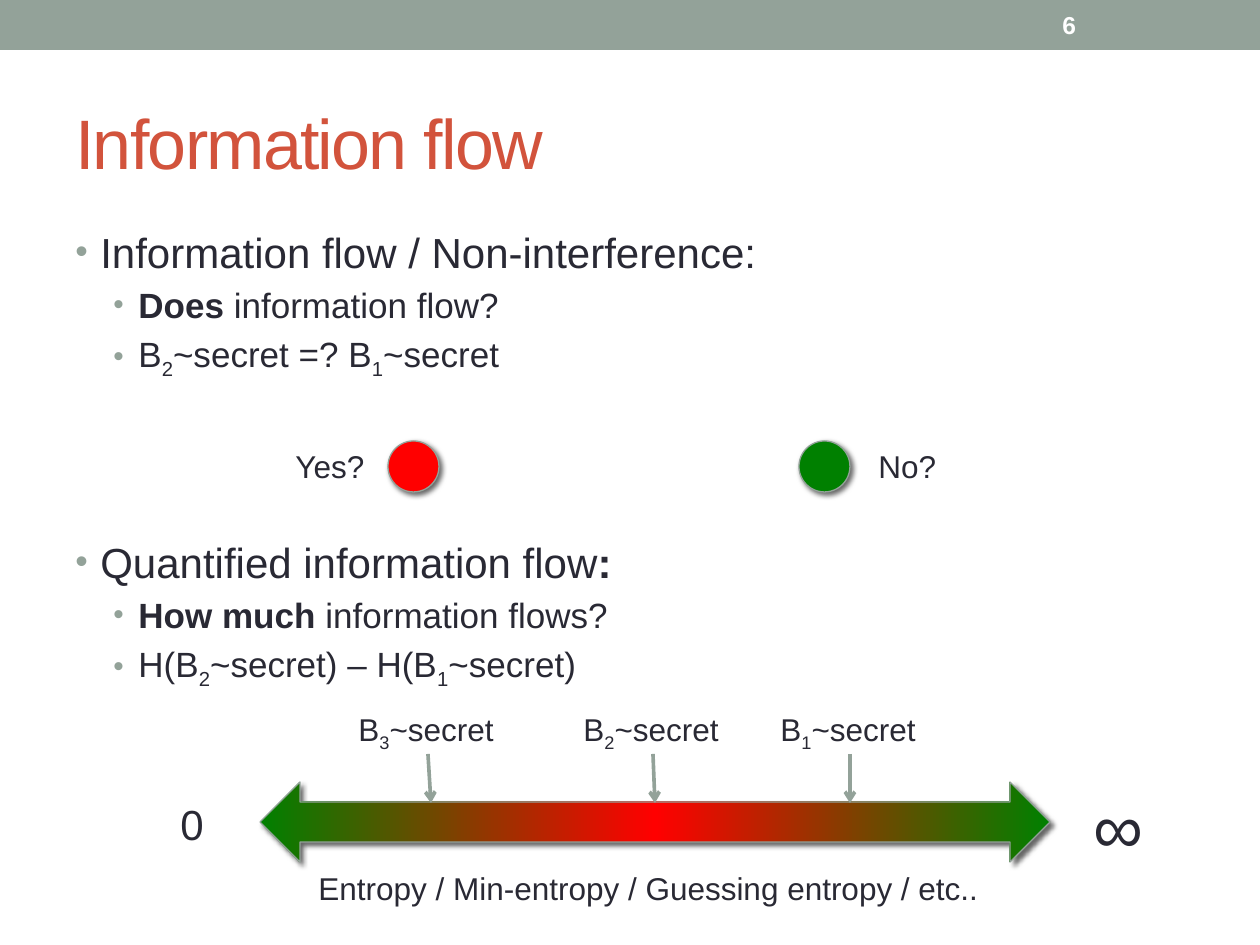
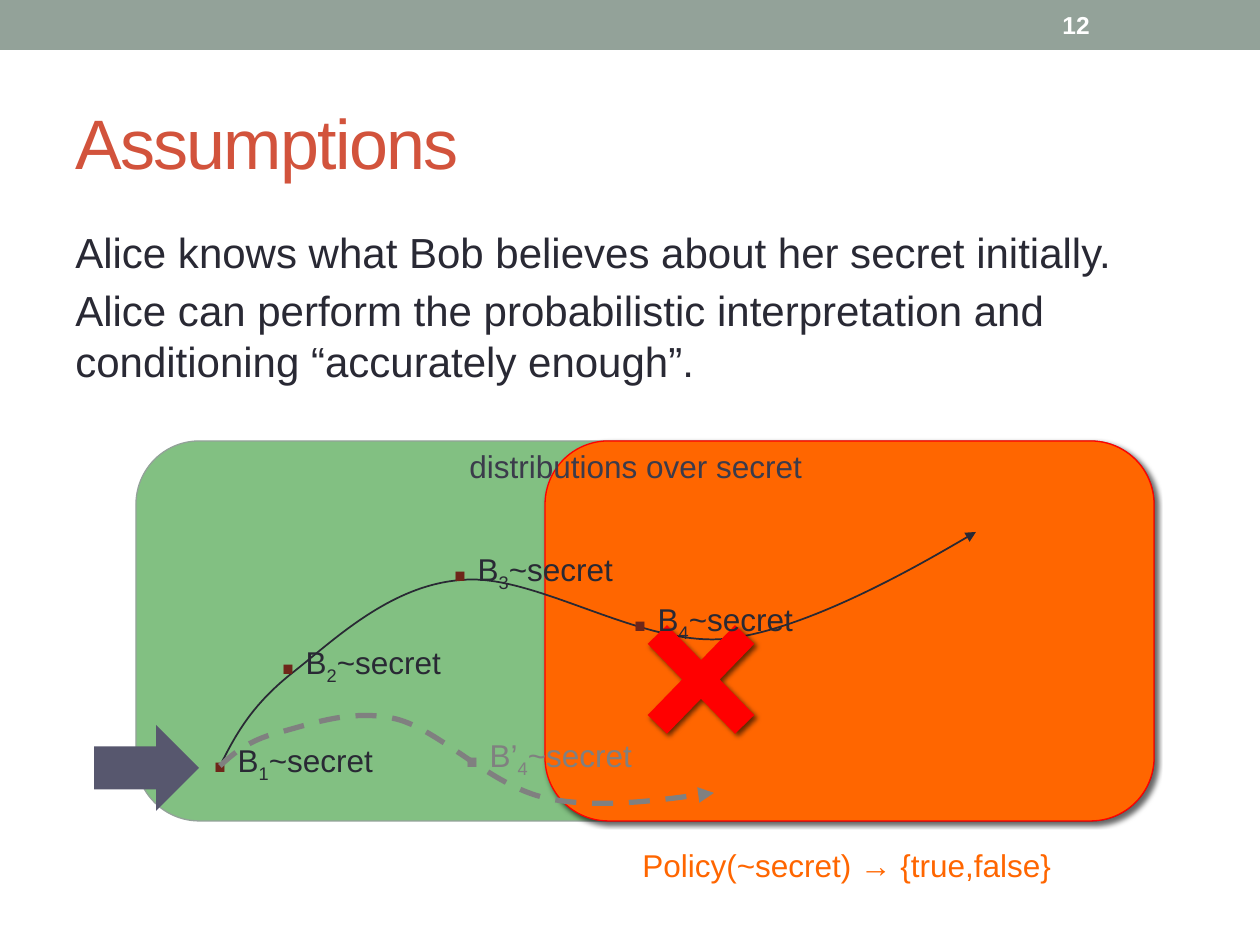
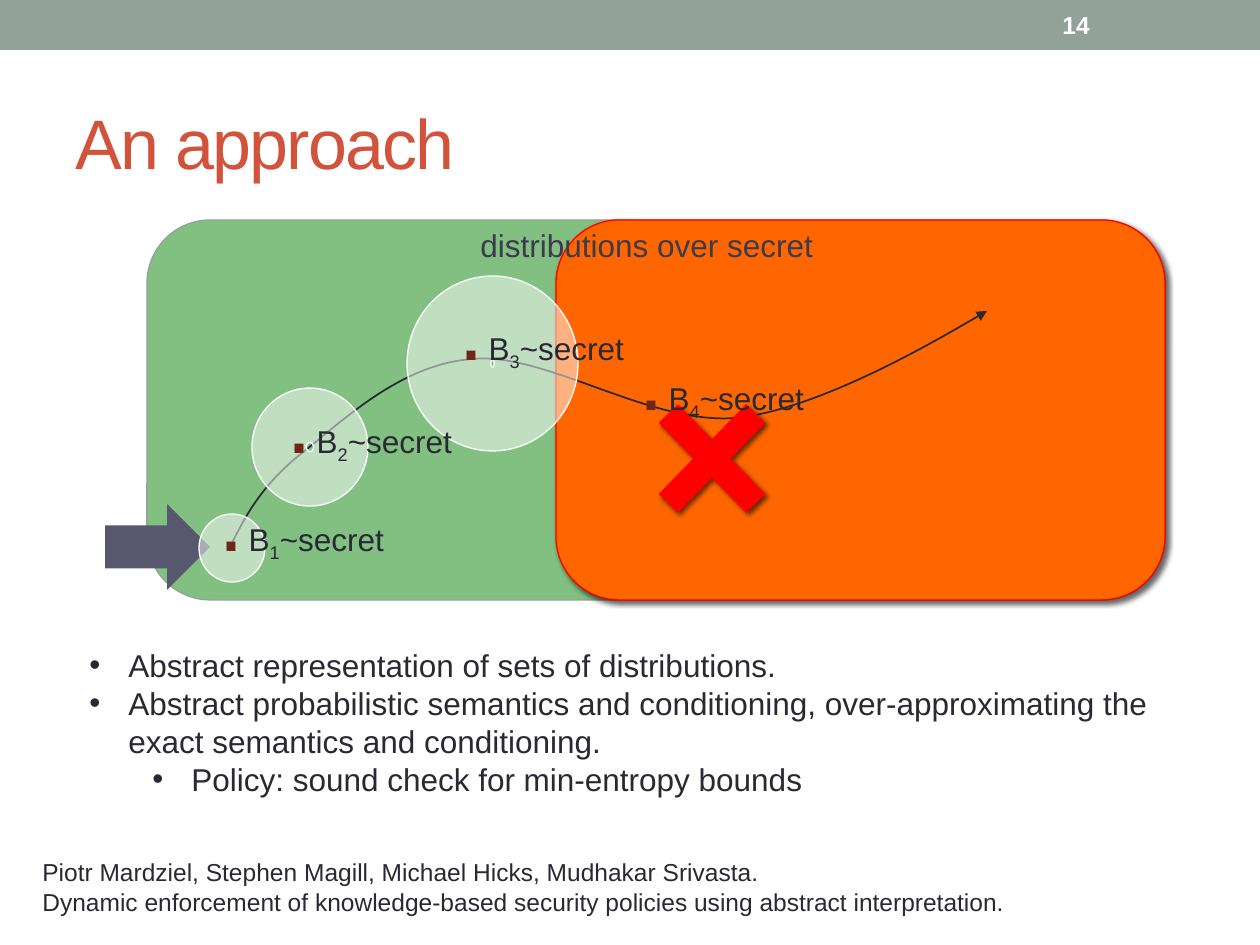
from dataclasses import dataclass
from typing import NamedTuple

from lxml import etree
from pptx import Presentation
from pptx.dml.color import RGBColor
from pptx.enum.dml import MSO_LINE
from pptx.enum.shapes import MSO_CONNECTOR, MSO_SHAPE
from pptx.enum.text import MSO_ANCHOR, MSO_AUTO_SIZE
from pptx.oxml.ns import qn
from pptx.util import Emu, Pt

RECTANGLE = MSO_SHAPE.RECTANGLE
ROUNDED = MSO_SHAPE.ROUNDED_RECTANGLE
OVAL = MSO_SHAPE.OVAL
DONUT = MSO_SHAPE.DONUT
RIGHT_ARROW = MSO_SHAPE.RIGHT_ARROW
DOUBLE_ARROW = MSO_SHAPE.LEFT_RIGHT_ARROW
CROSS = MSO_SHAPE.MATH_MULTIPLY
STRAIGHT = MSO_CONNECTOR.STRAIGHT
DASH = MSO_LINE.DASH
MIDDLE = MSO_ANCHOR.MIDDLE
TOP = MSO_ANCHOR.TOP
FIT_SHAPE = MSO_AUTO_SIZE.SHAPE_TO_FIT_TEXT
BOTTOM_SIDE = 2
PX_PER_INCH = 126


@dataclass(frozen=True)
class Theme:
    font: str = "Arial"
    ink: str = "292934"
    accent: str = "93A299"
    title: str = "D2533C"
    white: str = "FFFFFF"
    red: str = "FF0000"
    green: str = "008000"
    orange: str = "FF6600"
    caption: str = "3B3B4B"
    marker: str = "6E2619"
    entry: str = "57576E"
    faded: str = "808080"
    title_size: int = 40
    marker_size: int = 36
    body_size: int = 24
    detail_size: int = 20
    label_size: int = 18
    small_size: int = 14


THEME = Theme()


class Run(NamedTuple):
    text: str
    bold: bool = False
    subscript: bool = False
    size: int = 0
    color: str = ""


class Line(NamedTuple):
    runs: list
    size: int = THEME.label_size
    color: str = THEME.ink
    gap: float = 0
    level: int = 0
    indent: int = 0
    hanging: int = 0
    bullet: bool = False
    bullet_color: str = ""


def px(value):
    return Emu(round(value * 914400 / PX_PER_INCH))


def rgb(value):
    return RGBColor.from_string(value)


def add_element(parent, tag, **attributes):
    element = etree.SubElement(parent, qn(tag))
    for name, value in attributes.items():
        element.set(name, str(value))
    return element


def add_run(paragraph, item, line):
    run = paragraph.add_run()
    run.text = item.text
    run.font.name = THEME.font
    run.font.size = Pt(item.size or line.size)
    run.font.bold = item.bold
    run.font.color.rgb = rgb(item.color or line.color)
    if item.subscript:
        run.font._element.set("baseline", "-25000")


def format_paragraph(paragraph, line):
    paragraph.level = line.level
    paragraph.space_before = Pt(line.gap)
    properties = paragraph._p.get_or_add_pPr()
    properties.set("marL", str(px(line.indent)))
    properties.set("indent", str(px(-line.hanging)))
    if line.bullet_color:
        add_element(add_element(properties, "a:buClr"), "a:srgbClr", val=line.bullet_color)
        add_element(properties, "a:buSzPct", val=85000)
    if line.bullet:
        add_element(properties, "a:buFont", typeface=THEME.font)
        add_element(properties, "a:buChar", char="•")


def add_text(slide, box, lines, wrap=False, anchor=TOP):
    shape = slide.shapes.add_textbox(*map(px, box))
    frame = shape.text_frame
    frame.word_wrap = wrap
    frame.vertical_anchor = anchor
    if not wrap:
        frame.auto_size = FIT_SHAPE
    for index, line in enumerate(lines):
        paragraph = frame.add_paragraph() if index else frame.paragraphs[0]
        format_paragraph(paragraph, line)
        for item in line.runs:
            add_run(paragraph, item, line)
    return shape


def add_label(slide, box, text, size=THEME.label_size, color=THEME.ink):
    return add_text(slide, box, [Line([Run(text)], size, color)])


def add_shadow(shape):
    effects = shape._element.spPr.find(qn("a:effectLst"))
    shadow = add_element(effects, "a:outerShdw", blurRad=Pt(3), dist=Pt(2),
                         dir=45 * 60000, rotWithShape=0)
    color = add_element(shadow, "a:srgbClr", val="000000")
    add_element(color, "a:alpha", val=60000)


def add_figure(slide, kind, box, fill, line=None, shadow=False, opacity=100, adjustment=None):
    shape = slide.shapes.add_shape(kind, *map(px, box))
    shape.shadow.inherit = False
    shape.fill.solid()
    shape.fill.fore_color.rgb = rgb(fill)
    if opacity < 100:
        color = shape._element.spPr.find(qn("a:solidFill"))[0]
        add_element(color, "a:alpha", val=opacity * 1000)
    if line:
        shape.line.color.rgb = rgb(line)
        shape.line.width = Pt(0.75)
    else:
        shape.line.fill.background()
    if shadow:
        add_shadow(shape)
    if adjustment is not None:
        shape.adjustments[0] = adjustment
    return shape


def add_curve(slide, points, color, width, dash=None):
    corners = [(px(x), px(y)) for x, y in points]
    builder = slide.shapes.build_freeform(*corners[0])
    builder.add_line_segments(corners[1:], close=False)
    shape = builder.convert_to_shape()
    outline = shape._element.xpath(".//a:path")[0]
    segments = outline.findall(qn("a:lnTo"))
    for start in range(0, len(segments), 3):
        bezier = add_element(outline, "a:cubicBezTo")
        for segment in segments[start:start + 3]:
            bezier.append(segment[0])
            outline.remove(segment)
    shape.shadow.inherit = False
    shape.fill.background()
    shape.line.color.rgb = rgb(color)
    shape.line.width = Pt(width)
    if dash:
        shape.line.dash_style = dash
    add_element(shape.line._get_or_add_ln(), "a:tailEnd", type="triangle")


def add_pointer(slide, label, end_x, end_y):
    connector = slide.shapes.add_connector(STRAIGHT, 0, 0, px(end_x), px(end_y))
    connector.begin_connect(label, BOTTOM_SIDE)
    connector.line.color.rgb = rgb(THEME.accent)
    connector.line.width = Pt(2.08)
    add_element(connector.line._get_or_add_ln(), "a:tailEnd", type="arrow")
    add_element(connector._element.spPr, "a:effectLst")


def belief(number, prefix="B"):
    return [Run(prefix), Run(number, subscript=True), Run("~secret")]


def add_marked_belief(slide, left, top, number, prefix="B", dot=THEME.marker, color=THEME.ink):
    marker = [Run(".", bold=True, size=THEME.marker_size, color=dot), Run(" ")]
    line = Line(marker + belief(number, prefix), color=color)
    add_text(slide, (left, top, 220, 89), [line], True)


def start_slide(presentation, title, number):
    slide = presentation.slides.add_slide(presentation.slide_layouts[6])
    add_figure(slide, RECTANGLE, (0, 0, 1260, 50), THEME.accent)
    heading = add_text(slide, (63, 73, 1134, 136),
                       [Line([Run(title)], THEME.title_size, THEME.title)], True, MIDDLE)
    heading.text_frame.paragraphs[0].runs[0].font._element.set("spc", "-100")
    add_text(slide, (1050, 2, 147, 45),
             [Line([Run(number, bold=True)], THEME.small_size, THEME.white)], True, MIDDLE)
    return slide


def topic(*runs):
    return Line(runs, THEME.body_size, gap=4.8, indent=25, hanging=25,
                bullet=True, bullet_color=THEME.accent)


def detail(*runs):
    return Line(runs, THEME.detail_size, gap=4, level=1, indent=63, hanging=25,
                bullet=True, bullet_color=THEME.accent)


def point(text, level=0):
    return Line([Run(text)], level=level, indent=39 + 63 * level, hanging=39, bullet=True)


def add_entropy_scale(slide):
    scale = add_figure(slide, DOUBLE_ARROW, (260, 782, 790, 80), THEME.red, THEME.accent, True)
    scale.fill.gradient()
    scale.fill.gradient_angle = 0
    stops = scale._element.spPr.find(qn("a:gradFill")).find(qn("a:gsLst"))
    for stop in list(stops):
        stops.remove(stop)
    for position, color in ((0, THEME.green), (50, THEME.red), (100, THEME.green)):
        stop = add_element(stops, "a:gs", pos=position * 1000)
        add_element(stop, "a:srgbClr", val=color)
    add_label(slide, (168, 792, 49, 63), "0", THEME.body_size)
    add_label(slide, (1081, 777, 76, 97), "∞", THEME.title_size)
    for number, left, tip in (("1", 768, 850), ("2", 571, 655), ("3", 346, 431)):
        label = add_text(slide, (left, 704, 164, 50), [Line(belief(number))])
        add_pointer(slide, label, tip, 803)
    add_label(slide, (306, 863, 692, 50), "Entropy / Min-entropy / Guessing entropy / etc..")


def add_distribution_space(slide, left, top):
    curve = ((84, 325), (99, 295), (115, 265), (155, 233), (195, 202), (253, 144), (326, 139),
             (398, 132), (503, 205), (588, 198), (674, 190), (840, 91), (840, 91))
    add_figure(slide, ROUNDED, (left, top, 1018, 380), THEME.green, THEME.accent, opacity=49)
    add_figure(slide, ROUNDED, (left + 409, top, 609, 380), THEME.orange, THEME.red, True)
    add_label(slide, (left + 321, top, 362, 50), "distributions over secret", color=THEME.caption)
    add_curve(slide, [(left + x, top + y) for x, y in curve], THEME.ink, 1)
    add_figure(slide, RIGHT_ARROW, (left - 42, top + 284, 105, 86), THEME.entry)


def add_belief_sequence(slide, left, top):
    add_figure(slide, CROSS, (left + 481, top + 152, 168, 173), THEME.red,
               shadow=True, adjustment=0.16)
    positions = ((63, 262), (131, 164), (303, 71), (483, 121))
    for number, (x, y) in enumerate(positions, 1):
        add_marked_belief(slide, left + x, top + y, str(number))


def build_information_flow(presentation):
    slide = start_slide(presentation, "Information flow", "6")
    add_text(slide, (63, 220, 1134, 180), [
        topic(Run("Information flow / Non-interference:")),
        detail(Run("Does", bold=True), Run(" information flow?")),
        detail(Run("B"), Run("2", subscript=True), Run("~secret =? B"),
               Run("1", subscript=True), Run("~secret")),
    ], True)
    add_text(slide, (63, 530, 1134, 180), [
        topic(Run("Quantified information flow"), Run(":", bold=True)),
        detail(Run("How much ", bold=True), Run("information flows?")),
        detail(Run("H(B"), Run("2", subscript=True), Run("~secret) – H(B"),
               Run("1", subscript=True), Run("~secret)")),
    ], True)
    add_label(slide, (283, 441, 95, 50), "Yes?")
    add_label(slide, (866, 441, 84, 50), "No?")
    for left, color in ((388, THEME.red), (799, THEME.green)):
        add_figure(slide, OVAL, (left, 441, 51, 51), color, THEME.accent, True)
    add_entropy_scale(slide)


def build_assumptions(presentation):
    slide = start_slide(presentation, "Assumptions", "12")
    statements = (
        "Alice knows what Bob believes about her secret initially.",
        "Alice can perform the probabilistic interpretation and conditioning “accurately enough”.",
    )
    add_text(slide, (63, 220, 1134, 179),
             [Line([Run(text)], THEME.body_size, gap=4.8) for text in statements], True)
    add_distribution_space(slide, 136, 441)
    add_belief_sequence(slide, 136, 441)
    alternative = ((220, 766), (234, 753), (248, 741), (277, 733), (306, 726), (350, 708),
                   (396, 719), (440, 730), (491, 786), (546, 798), (598, 810), (714, 793),
                   (714, 793))
    add_curve(slide, alternative, THEME.faded, 3, DASH)
    add_marked_belief(slide, 451, 698, "4", "B’", THEME.faded, THEME.faded)
    add_label(slide, (630, 840, 437, 50), "Policy(~secret) → {true,false}", color=THEME.orange)


def build_approach(presentation):
    slide = start_slide(presentation, "An approach", "14")
    left, top = 147, 220
    add_distribution_space(slide, left, top)
    for x, y, width, height, ring in ((52, 294, 66, 68, 0.496), (105, 168, 116, 118, 0.469),
                                      (260, 56, 171, 175, 0.49)):
        add_figure(slide, DONUT, (left + x, top + y, width, height), THEME.white, THEME.white,
                   opacity=50, adjustment=ring)
    add_belief_sequence(slide, left, top)
    add_text(slide, (77, 640, 1089, 165), [
        point("Abstract representation of sets of distributions."),
        point("Abstract probabilistic semantics and conditioning, over-approximating the "
              "exact semantics and conditioning."),
        point("Policy: sound check for min-entropy bounds", 1),
    ], True)
    citation = (
        "Piotr Mardziel, Stephen Magill, Michael Hicks, Mudhakar Srivasta.",
        "Dynamic enforcement of knowledge-based security policies using abstract interpretation.",
    )
    add_text(slide, (30, 851, 1197, 72),
             [Line([Run(text)], THEME.small_size) for text in citation], True)


def main():
    presentation = Presentation()
    presentation.slide_width = px(1260)
    presentation.slide_height = px(945)
    build_information_flow(presentation)
    build_assumptions(presentation)
    build_approach(presentation)
    presentation.save("out.pptx")


if __name__ == "__main__":
    main()
